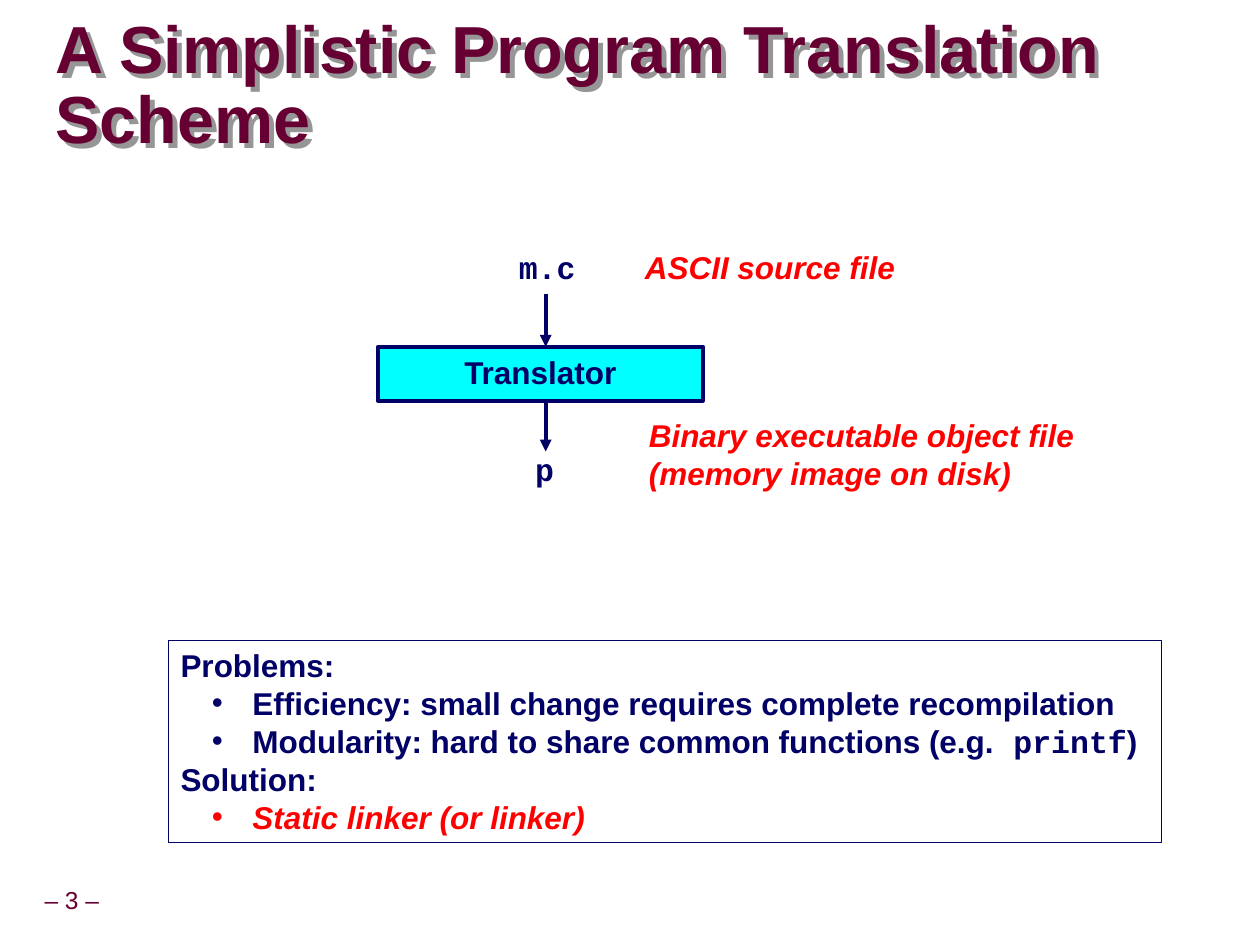
from dataclasses import dataclass

from lxml import etree
from pptx import Presentation
from pptx.dml.color import RGBColor
from pptx.enum.shapes import MSO_CONNECTOR, MSO_SHAPE
from pptx.enum.text import MSO_ANCHOR, PP_ALIGN
from pptx.oxml.ns import qn
from pptx.slide import Slide
from pptx.util import Cm, Pt

RECTANGLE = MSO_SHAPE.RECTANGLE
STRAIGHT = MSO_CONNECTOR.STRAIGHT
TOP, MIDDLE = MSO_ANCHOR.TOP, MSO_ANCHOR.MIDDLE
LEFT, CENTER = PP_ALIGN.LEFT, PP_ALIGN.CENTER


def rgb(code):
    return RGBColor.from_string(code)


def child(parent, tag, **attributes):
    return etree.SubElement(parent, qn(tag), {k: str(v) for k, v in attributes.items()})


def write(paragraph, text, font="Arial", size=18, color="000066", bold=True, italic=False):
    run = paragraph.add_run()
    run.text = text
    run.font.name = font
    run.font.size = Pt(size)
    run.font.color.rgb = rgb(color)
    run.font.bold = bold
    run.font.italic = italic


@dataclass
class Diagram:
    slide: Slide
    ink: str = "000066"
    accent: str = "FF0000"
    heading: str = "660033"
    code_font: str = "Courier New"
    arrow_weight: float = 2.25

    def frame(self, shape, anchor=TOP, wrap=False, margins=(0.25, 0.13)):
        frame = shape.text_frame
        frame.word_wrap = wrap
        frame.vertical_anchor = anchor
        frame.margin_left = frame.margin_right = Cm(margins[0])
        frame.margin_top = frame.margin_bottom = Cm(margins[1])
        return frame

    def label(self, place, lines, align=LEFT, spacing=None, layout=None, **style):
        box = self.slide.shapes.add_textbox(*map(Cm, place))
        frame = self.frame(box, **(layout or {}))
        for index, line in enumerate(lines):
            paragraph = frame.add_paragraph() if index else frame.paragraphs[0]
            paragraph.alignment = align
            if spacing:
                paragraph.line_spacing = spacing
            write(paragraph, line, **style)
        return box

    def title(self, place, text):
        box = self.label(place, [text], spacing=0.87, size=38, color=self.heading,
                         layout=dict(anchor=MIDDLE, wrap=True, margins=(0, 0)))
        effects = child(box.fill._xPr, "a:effectLst")
        shadow = child(effects, "a:outerShdw", dist=Cm(0.14), dir=2700000, algn="ctr", rotWithShape=0)
        child(shadow, "a:srgbClr", val="969696")

    def box(self, place, weight, fill=None, **layout):
        shape = self.slide.shapes.add_shape(RECTANGLE, *map(Cm, place))
        shape.shadow.inherit = False
        if fill:
            shape.fill.solid()
            shape.fill.fore_color.rgb = rgb(fill)
        else:
            shape.fill.background()
        shape.line.color.rgb = rgb(self.ink)
        shape.line.width = Pt(weight)
        return self.frame(shape, **layout)

    def arrow(self, x, top, bottom):
        line = self.slide.shapes.add_connector(STRAIGHT, Cm(x), Cm(top), Cm(x), Cm(bottom))
        line.line.color.rgb = rgb(self.ink)
        line.line.width = Pt(self.arrow_weight)
        child(line.line._get_or_add_ln(), "a:tailEnd", type="triangle")
        child(line._element.spPr, "a:effectLst")

    def outline(self, place, entries):
        frame = self.box(place, 0.25)
        for index, (bulleted, runs) in enumerate(entries):
            paragraph = frame.add_paragraph() if index else frame.paragraphs[0]
            paragraph.alignment = LEFT
            if bulleted:
                paragraph.level = 1
                properties = paragraph._p.get_or_add_pPr()
                properties.set("marL", str(Cm(1.45)))
                properties.set("indent", str(-Cm(0.82)))
                child(properties, "a:buFont", typeface="Arial")
                child(properties, "a:buChar", char="•")
            for text, style in runs:
                write(paragraph, text, **style)


def main():
    deck = Presentation()
    deck.slide_width, deck.slide_height = Cm(25.4), Cm(19.05)
    diagram = Diagram(deck.slides.add_slide(deck.slide_layouts[6]))
    code = dict(font=diagram.code_font)
    remark = dict(color=diagram.accent, italic=True)

    diagram.label((0.61, 17.78, 1.68, 0.79), ["– 3 –"], align=CENTER, spacing=0.9,
                  size=14, color=diagram.heading, bold=False,
                  layout=dict(anchor=MIDDLE, margins=(0.13, 0.13)))
    diagram.title((1.12, 0.69, 24.21, 2.16), "A Simplistic Program Translation Scheme")

    diagram.outline((3.39, 12.9, 20.02, 4.09), [
        (False, [("Problems:", {})]),
        (True, [("Efficiency: small change requires complete recompilation", {})]),
        (True, [("Modularity: hard to share common functions (e.g.", {}),
                (" printf", code), (")", {})]),
        (False, [("Solution:", {})]),
        (True, [("Static linker (or linker)", remark)]),
    ])

    flow_x, translator_top, translator_height = 11, 6.99, 1.09
    translator_bottom = translator_top + translator_height
    diagram.arrow(flow_x, 5.92, translator_top)
    translator = diagram.box((7.62, translator_top, 6.55, translator_height),
                             diagram.arrow_weight, fill="00FFFF", wrap=True)
    translator.paragraphs[0].alignment = CENTER
    write(translator.paragraphs[0], "Translator")
    diagram.arrow(flow_x, translator_bottom, 9.1)

    diagram.label((10.21, 4.88, 1.65, 1.02), ["m.c"], **code)
    diagram.label((10.54, 8.94, 0.89, 1.02), ["p"], **code)
    diagram.label((12.75, 4.88, 5.56, 1.02), ["ASCII source file"], **remark)
    diagram.label((12.83, 8.26, 9.09, 1.78),
                  ["Binary executable object file", "(memory image on disk)"], **remark)

    deck.save("out.pptx")


if __name__ == "__main__":
    main()
